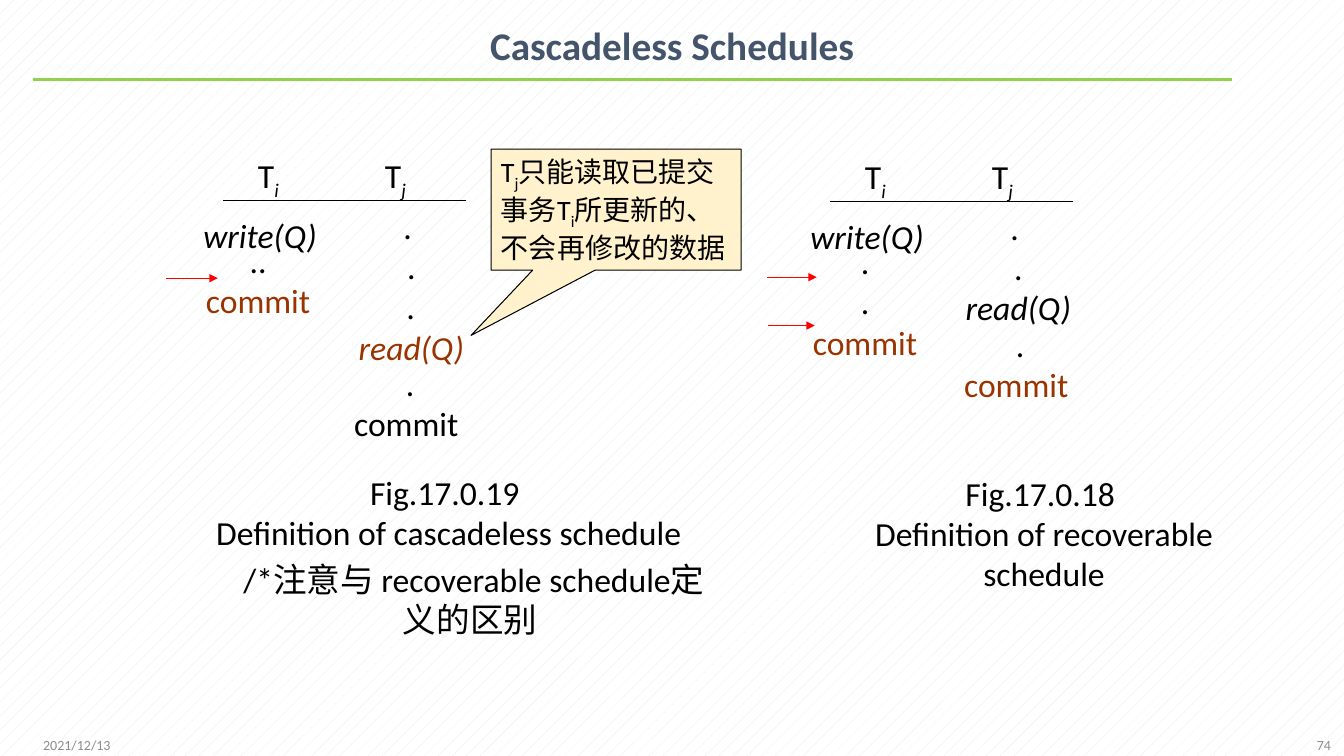
from lxml.etree import SubElement
from pptx import Presentation
from pptx.dml.color import RGBColor
from pptx.enum.dml import MSO_PATTERN
from pptx.enum.shapes import MSO_CONNECTOR, MSO_SHAPE
from pptx.enum.text import MSO_ANCHOR as Anchor, MSO_AUTO_SIZE as AutoSize, PP_ALIGN as Align
from pptx.oxml.ns import qn
from pptx.util import Inches, Pt

BLACK, RUST, RED, GREY = "000000", "993300", "FF0000", "8C8C8C"
ITALIC = {"italic": True}
ITALIC_SUB = {"italic": True, "base": -25}
SUB = {"base": -25}
COMMIT = ("commit", {"color": RUST})


def color(value):
    return RGBColor.from_string(value)


def add_run(para, content, size, fallback):
    text, style = content if isinstance(content, tuple) else (content, {})
    span = para.add_run()
    span.text = text
    values = {"name": "Calibri", "size": Pt(size), "bold": False, "italic": False}
    values.update((key, style[key]) for key in ("bold", "italic") if key in style)
    for name, value in values.items():
        setattr(span.font, name, value)
    span.font.color.rgb = color(style.get("color", fallback))
    if "base" in style:
        span.font._element.set("baseline", str(style["base"] * 1000))


def write(frame, paragraphs, size=24, fallback=BLACK, align=Align.CENTER):
    for index, runs in enumerate(paragraphs):
        para = frame.paragraphs[0] if index == 0 else frame.add_paragraph()
        para.alignment = align
        for content in runs if isinstance(runs, list) else [runs]:
            add_run(para, content, size, fallback)


def add_text(shapes, place, paragraphs, wrap=True, anchor=Anchor.TOP,
             auto_size=AutoSize.SHAPE_TO_FIT_TEXT, **style):
    box = shapes.add_textbox(*map(Inches, place))
    frame = box.text_frame
    values = {"word_wrap": wrap, "auto_size": auto_size, "vertical_anchor": anchor}
    for name, value in values.items():
        setattr(frame, name, value)
    write(frame, paragraphs, **style)
    return box


def add_line(shapes, start, end, stroke=BLACK, width=0.75, arrow=False):
    line = shapes.add_connector(MSO_CONNECTOR.STRAIGHT, *map(Inches, start + end))
    line.line.color.rgb = color(stroke)
    line.line.width = Pt(width)
    if arrow:
        SubElement(line.line._get_or_add_ln(), qn("a:tailEnd"), type="triangle")
    SubElement(line._element.spPr, qn("a:effectLst"))


def add_title(page, text):
    title = page.shapes.title
    place = dict(zip(("left", "top", "width", "height"), map(Inches, (0.34, 0.09, 12.65, 0.77))))
    for name, value in place.items():
        setattr(title, name, value)
    frame = title.text_frame
    frame.auto_size = AutoSize.NONE
    frame.vertical_anchor = Anchor.MIDDLE
    write(frame, [(text, {"bold": True})], size=28, fallback="44546A")
    frame.paragraphs[0].line_spacing = 0.9


def add_schedule(page, left, top, first_steps, second_steps, last_steps, last_at):
    shapes = page.shapes.add_group_shape().shapes
    header = add_text(shapes, (left + 0.59, top, 2.08, 0.5), [[]], align=Align.LEFT)
    para = header.text_frame.paragraphs[0]
    tabs = SubElement(para._p.get_or_add_pPr(), qn("a:tabLst"))
    SubElement(tabs, qn("a:tab"), pos=str(Inches(1.26)), algn="l")
    for content in ("T", ("i", ITALIC_SUB), "\tT", ("j", ITALIC_SUB)):
        add_run(para, content, 24, BLACK)
    add_line(shapes, (left + 0.34, top + 0.5), (left + 2.75, top + 0.5))
    add_text(shapes, (left, top + 0.59, 1.42, 0.5), [("write(Q)", ITALIC)])
    second_height = 0.1 + 0.405 * len(second_steps)
    add_text(shapes, (left + 1.5, top + 0.5, 1.42, second_height), second_steps)
    first_height = 0.1 + 0.405 * len(first_steps)
    add_text(shapes, (left + 0.07, top + 0.84, 1.24, first_height), first_steps, wrap=False)
    add_text(shapes, (*last_at, 1.24, 0.91), last_steps, wrap=False)


def add_callout(page):
    callout = page.shapes.add_shape(
        MSO_SHAPE.RECTANGULAR_CALLOUT, *map(Inches, (4.87, 1.48, 2.48, 1.2)))
    callout.shadow.inherit = False
    callout.adjustments[0], callout.adjustments[1] = -0.58, 1.04
    callout.fill.solid()
    callout.fill.fore_color.rgb = color("FFF2CC")
    callout.line.color.rgb = color(BLACK)
    callout.line.width = Pt(0.75)
    callout.text_frame.word_wrap = True
    callout.text_frame.vertical_anchor = Anchor.TOP
    runs = ["T", ("j", SUB), "只能读取已提交事务T", ("i", SUB), "所更新的、不会再修改的数据"]
    write(callout.text_frame, [runs], size=20, align=Align.LEFT)


def add_captions(page):
    caption = add_text(page.shapes, (1.65, 4.63, 5.6, 1.8), [
        "Fig.17.0.19 ",
        "Definition of cascadeless schedule",
        "/*注意与 recoverable schedule定义的区别 ",
    ])
    note = caption.text_frame.paragraphs[-1]
    note.space_before = Pt(4.8)
    properties = note._p.get_or_add_pPr()
    properties.set("marL", str(Inches(0.5)))
    properties.set("indent", "0")
    add_text(page.shapes, (8.11, 4.64, 4.49, 1.31),
             ["Fig.17.0.18 ", "Definition of recoverable schedule"])


def main():
    deck = Presentation()
    deck.slide_width, deck.slide_height = Inches(13.33), Inches(7.5)
    page = deck.slides.add_slide(deck.slide_layouts[5])
    backdrop = page.background.fill
    backdrop.patterned()
    backdrop.pattern = MSO_PATTERN.PERCENT_5
    backdrop.fore_color.rgb = color("DCECE0")
    backdrop.back_color.rgb = color("FFFFFF")

    add_line(page.shapes, (0.33, 0.79), (12.22, 0.79), "92D050", 2.25)
    add_title(page, "Cascadeless Schedules")
    for left, text, align in ((0.33, "2021/12/13", Align.LEFT), (10.3, "74", Align.RIGHT)):
        add_text(page.shapes, (left, 7.19, 3, 0.4), [text], anchor=Anchor.MIDDLE,
                 auto_size=AutoSize.NONE, size=10, fallback=GREY, align=align)

    read = ("read(Q)", {"italic": True, "color": RUST})
    add_schedule(page, 1.87, 1.49, ["..", COMMIT], [". ", ".", (".", ITALIC), read],
                 [" .", "commit"], (3.41, 3.55))
    add_schedule(page, 7.89, 1.5, [".", ".", COMMIT], [". ", ".", ("read(Q)", ITALIC)],
                 [" .", COMMIT], (9.46, 3.16))
    add_captions(page)
    for left, right, top in ((7.62, 8.08, 3.23), (7.61, 8.1, 2.75), (1.65, 2.16, 2.76)):
        add_line(page.shapes, (left, top), (right, top), RED, arrow=True)
    add_callout(page)
    deck.save("out.pptx")


if __name__ == "__main__":
    main()
